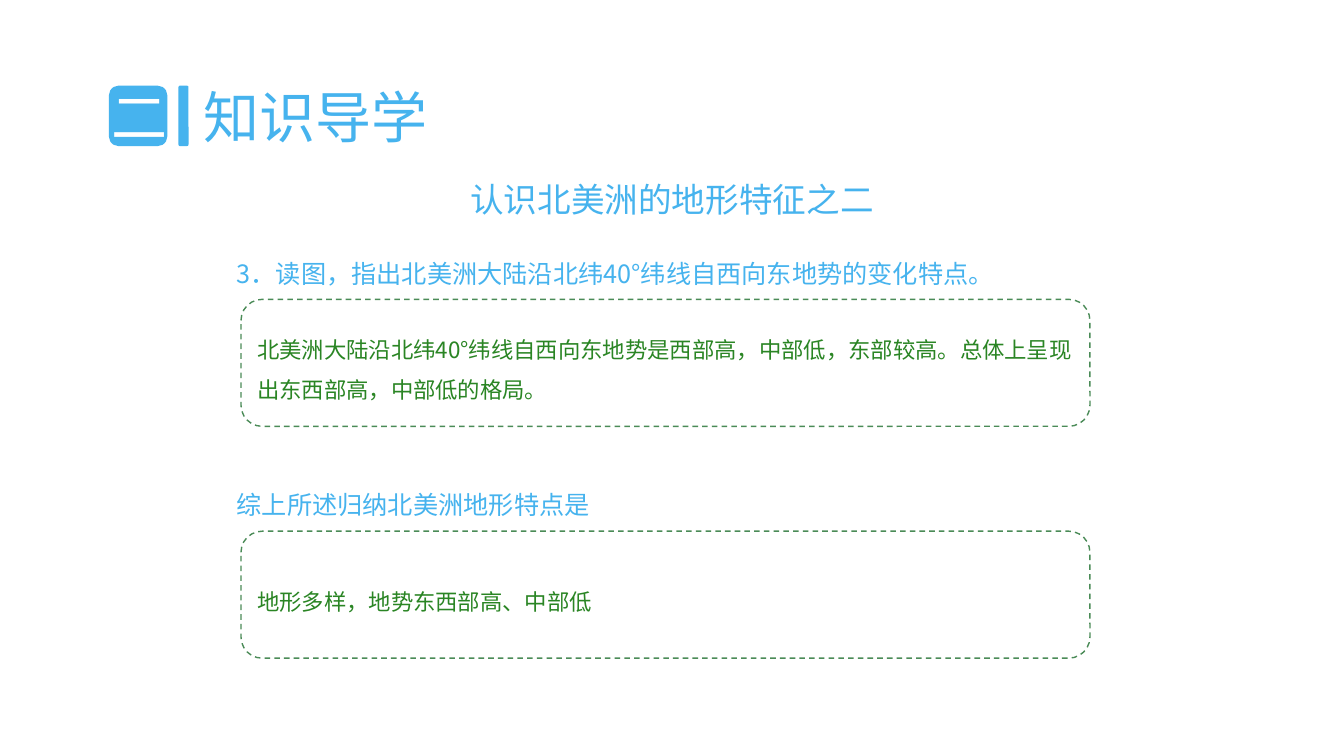
"""Build the lesson slide on the terrain of North America."""
from dataclasses import dataclass

from lxml import etree
from pptx import Presentation
from pptx.dml.color import RGBColor
from pptx.enum import dml, shapes, text
from pptx.oxml import ns
from pptx.util import Inches, Pt

SECTION_NUMBER = "二"
SECTION_TITLE = "知识导学"
TOPIC = "认识北美洲的地形特征之二"
QUESTIONS = [
    ("3．读图，指出北美洲大陆沿北纬40°纬线自西向东地势的变化特点。",
     "北美洲大陆沿北纬40°纬线自西向东地势是西部高，中部低，东部较高。总体上呈现出东西部高，中部低的格局。"),
    ("综上所述归纳北美洲地形特点是",
     "地形多样，地势东西部高、中部低"),
]


@dataclass(frozen=True)
class Theme:
    """Font, colours and type sizes."""
    font: str = "Noto Sans CJK SC"
    blue: str = "46B3EE"
    green: str = "2A8524"
    border: str = "4A8B57"
    white: str = "FFFFFF"
    section: int = 40
    topic: int = 24
    question: int = 18
    answer: int = 16


THEME = Theme()
WIDTH, HEIGHT = 13.33, 7.5
HEADER_TOP, HEADER_HEIGHT = 0.77, 0.77
BADGE_TOP, BADGE_HEIGHT = 0.85, 0.6
BADGES = [(1.08, 0.58), (1.77, 0.1)]
TOPIC_WIDTH = 5
QUESTION_LEFT, QUESTION_WIDTH, QUESTION_HEIGHT = 2.25, 8.83, 0.62
ANSWER_LEFT, ANSWER_WIDTH, ANSWER_HEIGHT = 2.39, 8.42, 1.26
FIRST_ROW, ROW_STEP, ANSWER_OFFSET = 2.21, 2.3, 0.76


def write(sp, words, size, color, align=text.PP_ALIGN.LEFT,
          anchor=text.MSO_ANCHOR.TOP, spacing=1.0, wrap=True):
    """Put formatted text into a shape."""
    tf = sp.text_frame
    tf.word_wrap = wrap
    tf.auto_size = text.MSO_AUTO_SIZE.NONE
    tf.vertical_anchor = anchor
    p = tf.paragraphs[0]
    p.alignment = align
    p.line_spacing = spacing
    r = p.add_run()
    r.text = words
    r.font.name = THEME.font
    r.font.size = Pt(size)
    r.font.color.rgb = RGBColor.from_string(color)
    ea = etree.SubElement(r.font._element, ns.qn("a:ea"))
    ea.set("typeface", THEME.font)


def add_text(s, box, words, size, color, **style):
    """Add a text box."""
    sp = s.shapes.add_textbox(*map(Inches, box))
    write(sp, words, size, color, **style)


def add_round(s, box, fill=None, line=None):
    """Add a rounded rectangle, filled or with a dashed outline."""
    sp = s.shapes.add_shape(shapes.MSO_SHAPE.ROUNDED_RECTANGLE, *map(Inches, box))
    sp.shadow.inherit = False
    if fill:
        sp.fill.solid()
        sp.fill.fore_color.rgb = RGBColor.from_string(fill)
    else:
        sp.fill.background()
    if line:
        sp.line.color.rgb = RGBColor.from_string(line)
        sp.line.width = Pt(1)
        sp.line.dash_style = dml.MSO_LINE.DASH
    else:
        sp.line.fill.background()
    return sp


def add_header(s):
    """Add the section badge, the title and the topic."""
    for left, width in BADGES:
        add_round(s, (left, BADGE_TOP, width, BADGE_HEIGHT), fill=THEME.blue)
    title = s.shapes.title
    title.left, title.top = Inches(1.92), Inches(HEADER_TOP)
    title.width, title.height = Inches(2.45), Inches(HEADER_HEIGHT)
    write(title, SECTION_TITLE, THEME.section, THEME.blue, wrap=False)
    add_text(s, (1, HEADER_TOP, 0.76, HEADER_HEIGHT), SECTION_NUMBER,
             THEME.section, THEME.white, align=text.PP_ALIGN.CENTER, wrap=False)
    add_text(s, ((WIDTH - TOPIC_WIDTH) / 2, 1.73, TOPIC_WIDTH, 0.5), TOPIC,
             THEME.topic, THEME.blue, align=text.PP_ALIGN.CENTER,
             anchor=text.MSO_ANCHOR.MIDDLE)


def add_questions(s):
    """Add each question above its framed answer."""
    for row, (question, answer) in enumerate(QUESTIONS):
        top = FIRST_ROW + row * ROW_STEP
        add_text(s, (QUESTION_LEFT, top, QUESTION_WIDTH, QUESTION_HEIGHT),
                 question, THEME.question, THEME.blue, spacing=2.0)
        frame = add_round(s, (ANSWER_LEFT, top + ANSWER_OFFSET, ANSWER_WIDTH,
                              ANSWER_HEIGHT), line=THEME.border)
        write(frame, answer, THEME.answer, THEME.green,
              anchor=text.MSO_ANCHOR.MIDDLE, spacing=1.5)


def main():
    """Create and save the presentation."""
    prs = Presentation()
    prs.slide_width, prs.slide_height = Inches(WIDTH), Inches(HEIGHT)
    s = prs.slides.add_slide(prs.slide_layouts[5])
    add_header(s)
    add_questions(s)
    prs.save("out.pptx")


if __name__ == "__main__":
    main()
